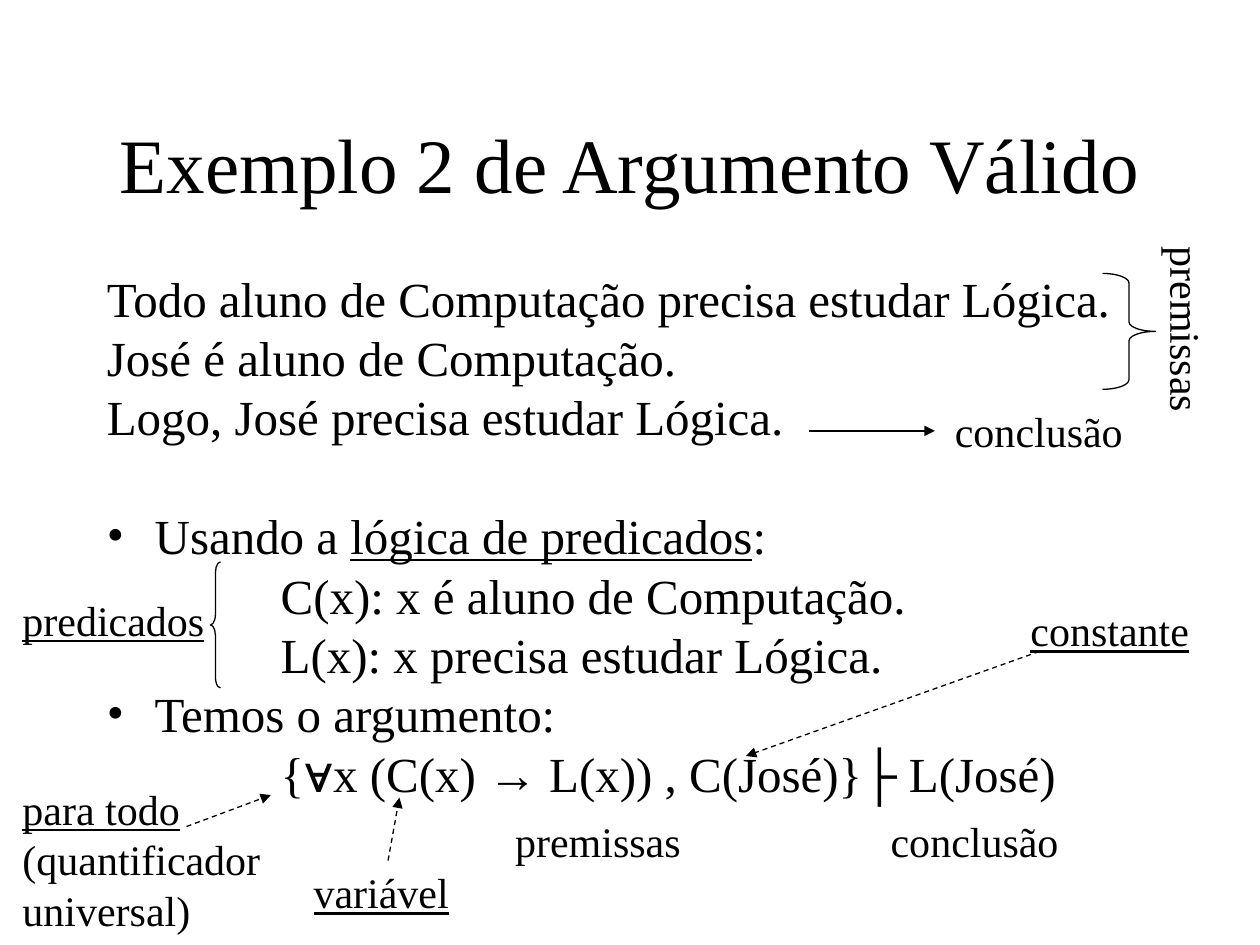
from lxml import etree
from pptx import Presentation
from pptx.dml.color import RGBColor
from pptx.enum.dml import MSO_LINE
from pptx.enum.shapes import MSO_CONNECTOR, MSO_SHAPE
from pptx.enum.text import MSO_ANCHOR, MSO_AUTO_SIZE, PP_ALIGN
from pptx.oxml.ns import qn
from pptx.util import Emu, Pt

PX = 9144
TITLE_ONLY = 5
STRAIGHT = MSO_CONNECTOR.STRAIGHT
LEFT_BRACE = MSO_SHAPE.LEFT_BRACE
RIGHT_BRACE = MSO_SHAPE.RIGHT_BRACE
DASH = MSO_LINE.DASH
MIDDLE = MSO_ANCHOR.MIDDLE
TOP = MSO_ANCHOR.TOP
CENTER = PP_ALIGN.CENTER
LEFT = PP_ALIGN.LEFT
GROW = MSO_AUTO_SIZE.SHAPE_TO_FIT_TEXT
FIXED = MSO_AUTO_SIZE.NONE
BLACK = "000000"
SERIF = {"name": "Times New Roman"}
SANS = {"name": "Arial"}
UNDERLINE = {"underline": True}

ARGUMENT = [
    ("plain", [("Todo aluno de Computação precisa estudar Lógica.", {})]),
    ("plain", [("José é aluno de Computação.", {})]),
    ("plain", [("Logo, José precisa estudar Lógica.", {})]),
    ("section", [("Usando a ", {}), ("lógica de predicados", UNDERLINE), (":", {})]),
    ("formula", [("C(x): x é aluno de Computação.", {})]),
    ("formula", [("L(x): x precisa estudar Lógica.", {})]),
    ("bullet", [("Temos o argumento:", {})]),
    ("formula", [("{", {}), ("∀", SANS), ("x (C(x) ", {}), ("→", SANS),
                 (" L(x)) , C(José)}", {}), ("├ ", {"bold": True}), ("L(José)", {})]),
]
STYLES = {
    "plain": {"margin": 0, "before": 7, "bullet": False},
    "section": {"margin": 38, "before": 41, "bullet": True},
    "bullet": {"margin": 38, "before": 7, "bullet": True},
    "formula": {"margin": 138, "before": 7, "bullet": False},
}
LABELS = [
    ((865, 238, 154, 50), [("premissas", {})], 90),
    ((748, 317, 155, 50), [("conclusão", {})], 0),
    ((399, 642, 154, 50), [("premissas", {})], 0),
    ((697, 642, 155, 50), [("conclusão", {})], 0),
    ((239, 683, 129, 50), [("variável", UNDERLINE)], 0),
    ((808, 475, 148, 50), [("constante", UNDERLINE)], 0),
    ((8, 617, 211, 130),
     [("para todo", UNDERLINE), ("(quantificador", {}), ("universal)", {})], 0),
    ((8, 467, 167, 50), [("predicados", UNDERLINE)], 0),
]
ARROWS = [
    ((642, 342, 742, 342), None),
    ((825, 517, 592, 600), DASH),
    ((148, 656, 215, 631), DASH),
    ((308, 683, 317, 633), DASH),
]
BRACES = [
    (RIGHT_BRACE, (875, 217, 42, 92), 0.18),
    (LEFT_BRACE, (167, 446, 8, 100), 1.04),
]


def color(value):
    """Turn a hex string into a colour."""
    return RGBColor.from_string(value)


def scale(lengths):
    """Turn px lengths into EMU."""
    return [Emu(length * PX) for length in lengths]


def set_values(target, values):
    """Set attributes from a dict of format values."""
    for name, value in values.items():
        setattr(target, name, value)


def add_span(para, text, size, values):
    """Add one formatted run to a paragraph."""
    span = para.add_run()
    span.text = text
    set_values(span.font, {"size": Pt(size), **SERIF, **values})
    span.font.color.rgb = color(BLACK)


def get_para(frame, index):
    """Return the first paragraph, or a new one after it."""
    return frame.add_paragraph() if index else frame.paragraphs[0]


def style_para(para, margin, before, bullet):
    """Set spacing, indent and bullet of a body paragraph."""
    set_values(para, {"line_spacing": 0.8, "space_before": Pt(before)})
    props = para._p.get_or_add_pPr()
    props.set("marL", str(margin * PX))
    props.set("indent", str(-margin * PX if bullet else 0))
    if bullet:
        tint = etree.SubElement(props, qn("a:buClr"))
        etree.SubElement(tint, qn("a:srgbClr"), val=BLACK)
        etree.SubElement(props, qn("a:buFont"), typeface=SERIF["name"])
        etree.SubElement(props, qn("a:buChar"), char="•")


def fill_title(page, place, text):
    """Place and format the title placeholder."""
    title = page.shapes.title
    set_values(title, dict(zip(("left", "top", "width", "height"), scale(place))))
    set_values(title.text_frame, {"vertical_anchor": MIDDLE, "word_wrap": True,
                                  "auto_size": FIXED})
    para = title.text_frame.paragraphs[0]
    para.alignment = CENTER
    add_span(para, text, 44, {})


def add_body(page, place, lines):
    """Add the text box with the argument."""
    frame = page.shapes.add_textbox(*scale(place)).text_frame
    set_values(frame, {"word_wrap": True, "vertical_anchor": TOP})
    for index, (style, spans) in enumerate(lines):
        para = get_para(frame, index)
        style_para(para, **STYLES[style])
        for text, values in spans:
            add_span(para, text, 28, values)


def add_label(page, place, lines, rotation):
    """Add a label with one run on each line."""
    box = page.shapes.add_textbox(*scale(place))
    box.rotation = rotation
    set_values(box.text_frame, {"word_wrap": False, "auto_size": GROW})
    for index, (text, values) in enumerate(lines):
        para = get_para(box.text_frame, index)
        para.alignment = LEFT
        add_span(para, text, 24, values)


def draw_line(shape, dash=None):
    """Give a shape or connector a thin black line."""
    shape.line.color.rgb = color(BLACK)
    set_values(shape.line, {"width": Pt(0.75), "dash_style": dash})


def add_arrow(page, ends, dash):
    """Add a straight arrow."""
    arrow = page.shapes.add_connector(STRAIGHT, *scale(ends))
    draw_line(arrow, dash)
    etree.SubElement(arrow.line._get_or_add_ln(), qn("a:tailEnd"), type="triangle")
    etree.SubElement(arrow._element.spPr, qn("a:effectLst"))


def add_brace(page, kind, place, curve):
    """Add an unfilled brace."""
    brace = page.shapes.add_shape(kind, *scale(place))
    brace.shadow.inherit = False
    brace.fill.background()
    brace.adjustments[0] = curve
    draw_line(brace)


def main():
    """Build the slide and save it."""
    deck = Presentation()
    deck.slide_width, deck.slide_height = scale((1000, 750))
    page = deck.slides.add_slide(deck.slide_layouts[TITLE_ONLY])
    fill_title(page, (75, 67, 850, 125), "Exemplo 2 de Argumento Válido")
    add_body(page, (75, 217, 850, 450), ARGUMENT)
    for label in LABELS:
        add_label(page, *label)
    for arrow in ARROWS:
        add_arrow(page, *arrow)
    for brace in BRACES:
        add_brace(page, *brace)
    deck.save("out.pptx")


if __name__ == "__main__":
    main()
